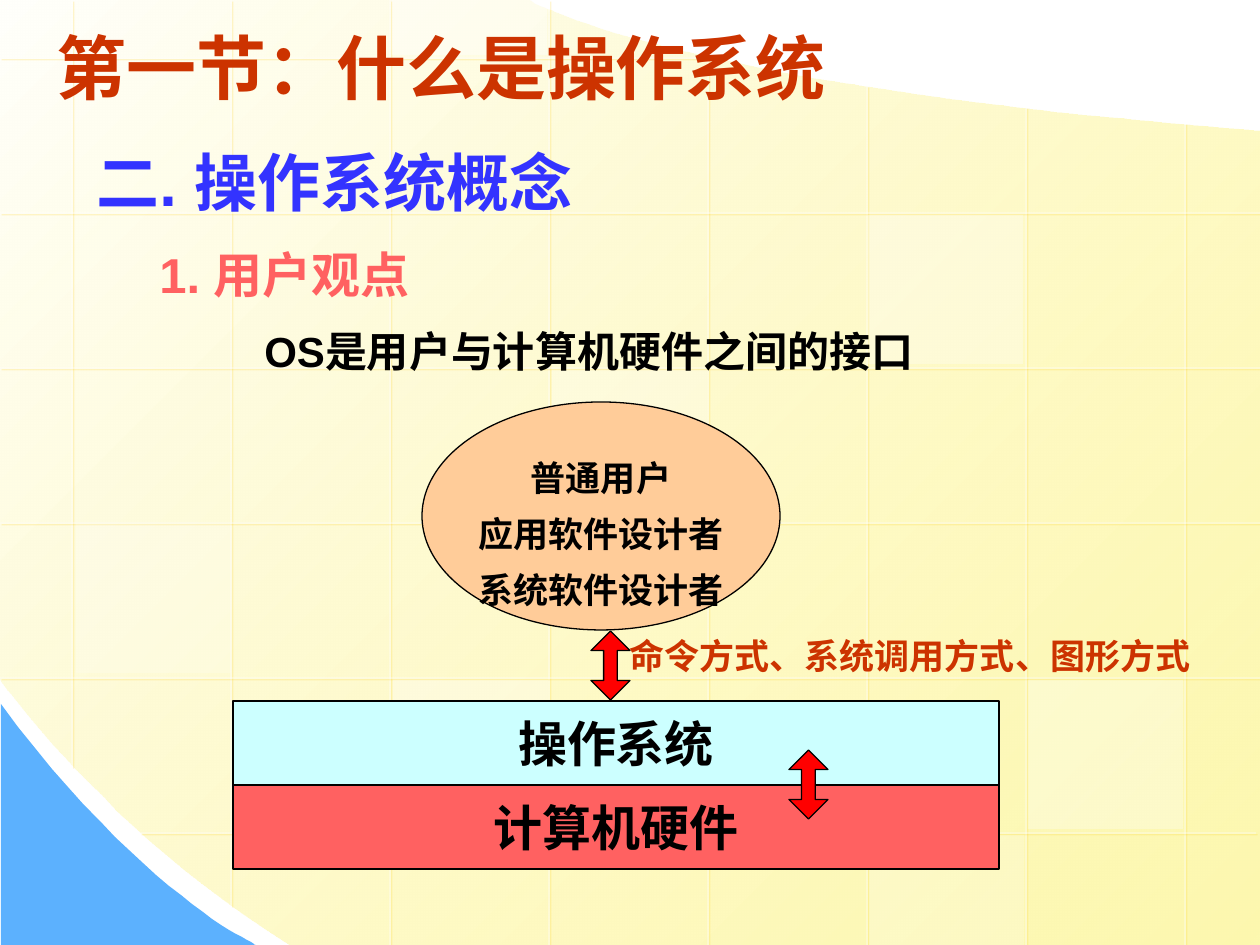
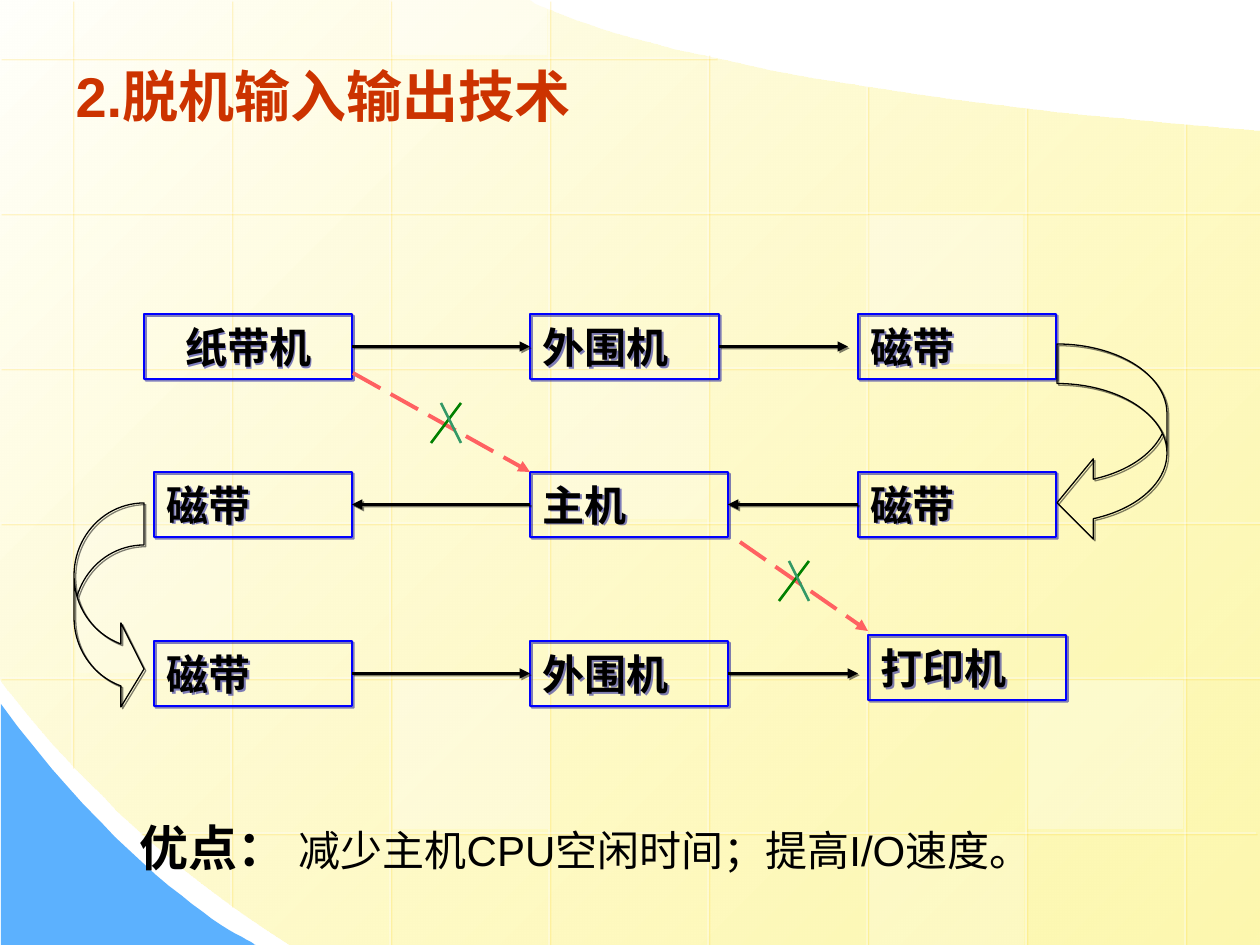
"""Build two lecture slides on operating systems over a shared grid background."""
from lxml import etree
from pptx import Presentation
from pptx import util as u
from pptx.dml.color import RGBColor
from pptx.enum import dml, shapes, text
from pptx.oxml.ns import qn

PX = u.Inches(1) / 126
WIDTH, HEIGHT = 1260, 945
KIND = shapes.MSO_SHAPE
ALIGN = text.PP_ALIGN

BLACK = RGBColor(0x00, 0x00, 0x00)
WHITE = RGBColor(0xFF, 0xFF, 0xFF)
CREAM = RGBColor(0xFF, 0xFF, 0xFB)
YELLOW = RGBColor(0xFD, 0xF5, 0x8D)
GOLD = RGBColor(0xFF, 0xCC, 0x00)
SKY = RGBColor(0x5C, 0xB1, 0xFE)
RUST = RGBColor(0xCC, 0x33, 0x00)
INDIGO = RGBColor(0x33, 0x33, 0xFF)
CORAL = RGBColor(0xFF, 0x61, 0x61)
CYAN = RGBColor(0xCC, 0xFF, 0xFF)
PEACH = RGBColor(0xFF, 0xCC, 0x99)
RED = RGBColor(0xFF, 0x00, 0x00)
BLUE = RGBColor(0x00, 0x00, 0xFF)
NAVY = RGBColor(0x00, 0x00, 0x99)
GREEN = RGBColor(0x00, 0x80, 0x00)
SEA = RGBColor(0x33, 0x99, 0x66)

CANVAS = [(1260, 131), (1260, 945), (290, 945), (108, 833, 0, 679, 0, 679),
          (0, 0), (530, 1), (530, 1, 676, 87, 1260, 131)]
CORNER = [(1, 704), (1, 945), (256, 945), (256, 945, 141, 893, 1, 704)]
COLUMN_SPANS = [(0, 767), (0, 906), (0, 945), (0, 945),
                (54, 945), (86, 945), (107, 945), (123, 945)]
ROW_SPANS = [(0, 716)] + [(0, WIDTH)] * 4 + [(140, 1256)]
TILES = [(552, 370, 149, 25), (1028, 680, 149, 30), (76, 524, 149, 20),
         (869, 835, 110, 20), (392, 0, 55, 40), (393, 680, 149, 30),
         (868, 215, 149, 30)]

OUTLINE = [("二. 操作系统概念", 36, INDIGO, 0, 0),
           ("1. 用户观点", 28, CORAL, 63, 4.5),
           ("OS是用户与计算机硬件之间的接口", 24, BLACK, 168, 4)]
LAYERS = [("计算机硬件", 785, CORAL), ("操作系统", 701, CYAN)]
USERS = ["普通用户", "应用软件设计者", "系统软件设计者"]
INTERFACES = "命令方式、系统调用方式、图形方式"
EXCHANGES = [(789, 750), (591, 631)]

DEVICES = {
    "reader": ("纸带机", 144, 314, 208), "input unit": ("外围机", 530, 314, 189),
    "input tape": ("磁带", 858, 314, 198), "result tape": ("磁带", 154, 472, 198),
    "host": ("主机", 530, 472, 198), "job tape": ("磁带", 858, 472, 198),
    "output tape": ("磁带", 154, 641, 198), "output unit": ("外围机", 530, 641, 198),
    "printer": ("打印机", 868, 635, 198)}
FLOWS = [("reader", 3, "input unit", 1), ("input unit", 3, 848, None),
         ("host", 1, "result tape", 3), ("output tape", 3, "output unit", 1),
         ("job tape", 1, "host", 3), ("output unit", 3, 858, None)]
TAPE_MOVES = [(KIND.CURVED_LEFT_ARROW, (1057, 344, 110, 199), (0.36, 0.73, 0.33)),
              (KIND.CURVED_RIGHT_ARROW, (74, 503, 70, 208), (0.6, 1.2, 0.33))]
BLOCKED = [((740, 542, 868, 631), (794, 581)), ((353, 373, 530, 472), (446, 423))]
STROKES = [((15, -20, -15, 20), GREEN), ((-5, -20, 15, 20), SEA)]
BENEFIT = [("优点：", 28, True), (" ", 32, False),
           ("减少主机CPU空闲时间；提高I/O速度。", 24, False)]


def emu(*lengths):
    """Turn px lengths into EMU."""
    return [round(length * PX) for length in lengths]


def assign(target, **values):
    """Set each given attribute on the target."""
    for name, value in values.items():
        setattr(target, name, value)


def set_alpha(element, percent):
    """Make the last colour in the element partly transparent."""
    colour = list(element.iter(qn("a:srgbClr")))[-1]
    etree.SubElement(colour, qn("a:alpha"), val=str(percent * 1000))


def set_effects(shape, shadow=None):
    """Clear inherited effects and add an optional (colour, alpha) shadow."""
    effects = etree.SubElement(shape.element.spPr, qn("a:effectLst"))
    if shadow:
        colour, percent = shadow
        outer = etree.SubElement(effects, qn("a:outerShdw"), dist="17961",
                                 dir="2700000", algn="ctr", rotWithShape="0")
        etree.SubElement(outer, qn("a:srgbClr"), val=str(colour))
        set_alpha(outer, percent)


def paint(shape, fill=None, line=None, width=0.75, shadow=None):
    """Set the fill, outline and shadow of a shape."""
    if fill is None:
        shape.fill.background()
    else:
        shape.fill.solid()
        shape.fill.fore_color.rgb = fill
    if line is None:
        shape.line.fill.background()
    else:
        shape.line.color.rgb = line
        shape.line.width = u.Pt(width)
    set_effects(shape, shadow)


def add_box(page, kind, place, adjustments=(), **look):
    """Add a painted preset shape."""
    box = page.shapes.add_shape(kind, *emu(*place))
    for index, value in enumerate(adjustments):
        box.adjustments[index] = value
    paint(box, **look)
    return box


def add_line(page, ends, colour, width, shadow=None, arrow=False, dash=None):
    """Add a straight connector."""
    line = page.shapes.add_connector(shapes.MSO_CONNECTOR.STRAIGHT, *emu(*ends))
    line.line.color.rgb = colour
    line.line.width = u.Pt(width)
    if dash:
        line.line.dash_style = dash
    if arrow:
        etree.SubElement(line.line.fill._xPr, qn("a:tailEnd"), type="triangle")
    set_effects(line, shadow)
    return line


def add_span(para, words, size, colour=BLACK, bold=True, name="Arial"):
    """Add a formatted run to a paragraph."""
    span = para.add_run()
    span.text = words
    assign(span.font, size=u.Pt(size), bold=bold, name=name)
    span.font.color.rgb = colour


def add_text(page, place):
    """Add an empty wrapping text box and return its frame."""
    frame = page.shapes.add_textbox(*emu(*place)).text_frame
    frame.word_wrap = True
    return frame


def next_para(frame, index):
    """Return the first paragraph of a frame or a fresh one."""
    return frame.add_paragraph() if index else frame.paragraphs[0]


def label(box, words, size, align, name="Arial"):
    """Write one centred-height line in a shape."""
    assign(box.text_frame, word_wrap=True, vertical_anchor=text.MSO_ANCHOR.MIDDLE,
           margin_top=0, margin_bottom=0)
    para = box.text_frame.paragraphs[0]
    para.alignment = align
    add_span(para, words, size, name=name)


def set_title(page, words, size, place):
    """Place and format the title placeholder."""
    title = page.shapes.title
    assign(title, **dict(zip(("left", "top", "width", "height"), emu(*place))))
    label(title, words, size, ALIGN.LEFT)
    title.text_frame.auto_size = text.MSO_AUTO_SIZE.NONE
    title.text_frame.paragraphs[0].runs[0].font.color.rgb = RUST


def trace(segments, steps=24):
    """Flatten points and cubic curves into a list of points."""
    points = [segments[0]]
    for segment in segments[1:]:
        if len(segment) == 2:
            points.append(segment)
            continue
        corners = [points[-1], segment[:2], segment[2:4], segment[4:]]
        for step in range(1, steps + 1):
            t = step / steps
            weights = ((1 - t) ** 3, 3 * t * (1 - t) ** 2, 3 * t * t * (1 - t), t ** 3)
            points.append(tuple(sum(w * corner[axis] for w, corner in zip(weights, corners))
                                for axis in (0, 1)))
    return points


def add_outline(page, segments, fill):
    """Add a filled freeform."""
    start, *rest = trace(segments)
    builder = page.shapes.build_freeform(*start, scale=PX)
    builder.add_line_segments(rest, close=True)
    outline = builder.convert_to_shape()
    paint(outline, fill)
    return outline


def build_background(page, layout):
    """Draw the backdrop and move it to the layout that both slides use."""
    canvas = add_outline(page, CANVAS, CREAM)
    canvas.fill.gradient()
    canvas.fill.gradient_angle = 315
    for stop, colour in zip(canvas.fill.gradient_stops, (CREAM, YELLOW)):
        stop.color.rgb = colour
    set_alpha(canvas.element.spPr, 70)
    add_outline(page, CORNER, SKY)
    columns = [(72 + 159 * i, top, 72 + 159 * i, bottom)
               for i, (top, bottom) in enumerate(COLUMN_SPANS)]
    rows = [(right, 58 + 155 * i, left, 58 + 155 * i)
            for i, (left, right) in enumerate(ROW_SPANS)]
    for ends in columns + rows:
        line = add_line(page, ends, WHITE, 0.75)
        set_alpha(line.element.spPr, 50)
        line.element.spPr.remove(line.element.spPr[-1])
        set_effects(line, (GOLD, 34))
    for left, top, height, alpha in TILES:
        tile = add_box(page, KIND.RECTANGLE, (left, top, 155, height), fill=WHITE)
        set_alpha(tile.element.spPr, alpha)
    drawn = [shape.element for shape in page.shapes if not shape.is_placeholder]
    for index, element in enumerate(drawn, 2):
        layout.shapes.element.insert(index, element)


def build_concept(page):
    """Show the system as the interface between users and hardware."""
    set_title(page, "第一节：什么是操作系统", 40, (44, 35, 1134, 63))
    frame = add_text(page, (84, 115, 1134, 307))
    for index, (words, size, colour, indent, before) in enumerate(OUTLINE):
        para = next_para(frame, index)
        assign(para, line_spacing=1.3, space_before=u.Pt(before))
        para._p.get_or_add_pPr().set("marL", str(emu(indent)[0]))
        add_span(para, words, size, colour)
    for words, top, fill in LAYERS:
        layer = add_box(page, KIND.FLOWCHART_PROCESS, (233, top, 766, 84),
                        fill=fill, line=BLACK)
        label(layer, words, 28, ALIGN.CENTER, "Times New Roman")
    add_box(page, KIND.OVAL, (422, 402, 358, 228), fill=PEACH, line=BLACK)
    frame = add_text(page, (422, 450, 358, 180))
    for index, words in enumerate(USERS):
        para = next_para(frame, index)
        assign(para, alignment=ALIGN.CENTER, space_before=u.Pt(8 if index else 0))
        add_span(para, words, 20)
    for left, top in EXCHANGES:
        add_box(page, KIND.UP_DOWN_ARROW, (left, top, 39, 69), (0.5, 0.35),
                fill=RED, line=BLACK)
    add_span(add_text(page, (617, 628, 600, 60)).paragraphs[0], INTERFACES, 20, RUST)


def build_offline(page):
    """Show the devices of offline input and output."""
    set_title(page, "2.脱机输入输出技术", 32, (63, 45, 1134, 101))
    boxes = {}
    for name, (words, left, top, width) in DEVICES.items():
        boxes[name] = add_box(page, KIND.RECTANGLE, (left, top, width, 65),
                              line=BLUE, width=1.25, shadow=(NAVY, 50))
        label(boxes[name], words, 24, ALIGN.CENTER if name == "reader" else ALIGN.LEFT)
    for source, source_side, target, target_side in FLOWS:
        middle = DEVICES[source][2] + 32.5
        end = 0 if target in boxes else target
        flow = add_line(page, (0, middle, end, middle), BLACK, 1.25, (BLACK, 50), True)
        flow.begin_connect(boxes[source], source_side)
        if target in boxes:
            flow.end_connect(boxes[target], target_side)
    for kind, place, adjustments in TAPE_MOVES:
        add_box(page, kind, place, adjustments, line=BLACK, shadow=(BLACK, 50))
    para = add_text(page, (127, 804, 1060, 93)).paragraphs[0]
    for words, size, bold in BENEFIT:
        add_span(para, words, size, bold=bold)
    for ends, (x, y) in BLOCKED:
        add_line(page, ends, CORAL, 2.25, arrow=True, dash=dml.MSO_LINE.LONG_DASH)
        for (x1, y1, x2, y2), colour in STROKES:
            add_line(page, (x + x1, y + y1, x + x2, y + y2), colour, 1.5)


def main():
    """Build and save the deck."""
    deck = Presentation()
    deck.slide_width, deck.slide_height = emu(WIDTH, HEIGHT)
    layout = deck.slide_layouts[5]
    concept, offline = (deck.slides.add_slide(layout) for _ in range(2))
    build_background(concept, layout)
    build_concept(concept)
    build_offline(offline)
    deck.save("out.pptx")


if __name__ == "__main__":
    main()
